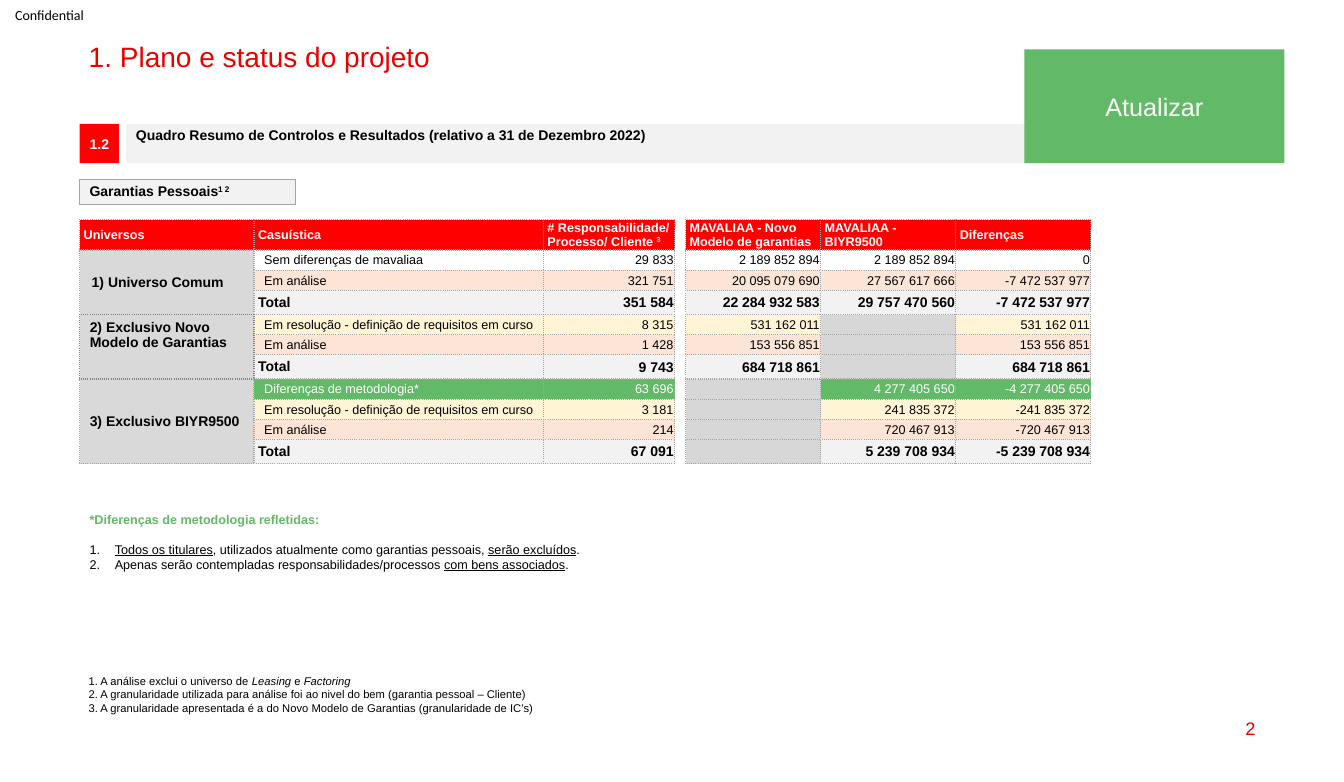
from lxml import etree
from pptx import Presentation
from pptx.dml.color import RGBColor
from pptx.enum import shapes as sh, text as tx
from pptx.oxml.ns import qn
from pptx.util import Inches, Pt

RED, GREEN, PALE, GREY = "FF0000", "62B967", "F2F2F2", "D9D9D9"
BLACK, WHITE, TITLE = "000000", "FFFFFF", "EB0000"
DOT, DARK, VOID = "A6A6A6", "808080", "D7D7D7"
LEFT, MID, RIGHT = tx.PP_ALIGN.LEFT, tx.PP_ALIGN.CENTER, tx.PP_ALIGN.RIGHT
TOP, HALF = tx.MSO_ANCHOR.TOP, tx.MSO_ANCHOR.MIDDLE
SUP, LINE, ITAL = {"sup": True}, {"under": True}, {"ital": True}

# Row kind: fill, font colour
KINDS = {"plain": (None, BLACK), "study": ("FCE4D6", BLACK), "fix": ("FFF5D6", BLACK),
         "method": (GREEN, WHITE), "total": (PALE, BLACK)}
COLS = [1.73, 2.87, 1.3, 0.11, 1.34, 1.34, 1.34]
GAP = 3
HEADS = [["Universos"], ["Casuística"],
         ["# Responsabilidade/", [("Processo/ Cliente ", {}), ("3", SUP)]], None,
         ["MAVALIAA - Novo Modelo de garantias"], ["MAVALIAA - BIYR9500"], ["Diferenças"]]
FIX = "Em resolução - definição de requisitos em curso"
# Universe: name, anchor, left margin, border colour, rows
GROUPS = [
    ("1) Universo Comum", HALF, 0.12, DOT, [
        ("plain", "Sem diferenças de mavaliaa", "29 833", "2 189 852 894", "2 189 852 894", "0"),
        ("study", "Em análise", "321 751", "20 095 079 690", "27 567 617 666", "-7 472 537 977"),
        ("total", "Total", "351 584", "22 284 932 583", "29 757 470 560", "-7 472 537 977")]),
    ("2) Exclusivo Novo Modelo de Garantias", TOP, 0.1, DARK, [
        ("fix", FIX, "8 315", "531 162 011", "", "531 162 011"),
        ("study", "Em análise", "1 428", "153 556 851", "", "153 556 851"),
        ("total", "Total", "9 743", "684 718 861", "", "684 718 861")]),
    ("3) Exclusivo BIYR9500", HALF, 0.1, DOT, [
        ("method", "Diferenças de metodologia*", "63 696", "", "4 277 405 650", "-4 277 405 650"),
        ("fix", FIX, "3 181", "", "241 835 372", "-241 835 372"),
        ("study", "Em análise", "214", "", "720 467 913", "-720 467 913"),
        ("total", "Total", "67 091", "", "5 239 708 934", "-5 239 708 934")]),
]


def rgb(code):
    return RGBColor.from_string(code)


def write(frame, paras, size, color=BLACK, bold=False, align=LEFT, face="Arial", space=1.0):
    """Each paragraph is a string or a list of (text, style) runs."""
    for i, runs in enumerate(paras):
        para = frame.paragraphs[0] if i == 0 else frame.add_paragraph()
        para.alignment, para.line_spacing = align, space
        for words, style in [(runs, {})] if isinstance(runs, str) else runs:
            run = para.add_run()
            run.text = words
            font = run.font
            font.name, font.size, font.bold = face, Pt(size), bold
            font.color.rgb = rgb(color)
            if "ital" in style:
                font.italic = True
            if "under" in style:
                font.underline = True
            if "sup" in style:
                run._r.get_or_add_rPr().set("baseline", "30000")


def setup(frame, anchor=TOP, left=0.1, top=0.05):
    frame.word_wrap, frame.vertical_anchor = True, anchor
    frame.margin_left, frame.margin_top = Inches(left), Inches(top)


def label(slide, box, paras, size, anchor=TOP, left=0.1, top=0.05, **kw):
    frame = slide.shapes.add_textbox(*map(Inches, box)).text_frame
    setup(frame, anchor, left, top)
    write(frame, paras, size, **kw)
    return frame


def block(slide, box, fill, paras, size, anchor=HALF, top=0.05, line=None, **kw):
    shape = slide.shapes.add_shape(sh.MSO_SHAPE.RECTANGLE, *map(Inches, box))
    shape.shadow.inherit = False
    shape.fill.solid()
    shape.fill.fore_color.rgb = rgb(fill)
    if line:
        shape.line.color.rgb, shape.line.width = rgb(line), Pt(0.75)
    else:
        shape.line.fill.background()
    setup(shape.text_frame, anchor, top=top)
    write(shape.text_frame, paras, size, **kw)


def edge(cell, colors):
    """Dotted borders; colors maps the sides L, R, T, B to a colour."""
    props = cell._tc.get_or_add_tcPr()
    for side in "LRTB":
        line = etree.SubElement(props, qn("a:ln" + side), w="12700")
        if side in colors:
            fill = etree.SubElement(line, qn("a:solidFill"))
            etree.SubElement(fill, qn("a:srgbClr"), val=colors[side])
            etree.SubElement(line, qn("a:prstDash"), val="sysDot")
        else:
            etree.SubElement(line, qn("a:noFill"))


def put(cell, paras, fill, borders, pad, anchor=HALF, size=9, **kw):
    edge(cell, borders)
    if fill:
        cell.fill.solid()
        cell.fill.fore_color.rgb = rgb(fill)
    else:
        cell.fill.background()
    cell.vertical_anchor = anchor
    cell.margin_left, cell.margin_top, cell.margin_right, cell.margin_bottom = map(Inches, pad)
    if paras:
        write(cell.text_frame, paras, size, **kw)
    else:
        etree.SubElement(cell.text_frame.paragraphs[0]._p, qn("a:endParaRPr"), sz="800")


def heading(slide, box):
    x, y, w, h = box
    title = slide.shapes.title
    title.left, title.top, title.width, title.height = map(Inches, (x, y, w, 0.34))
    setup(title.text_frame)
    write(title.text_frame, ["1. Plano e status do projeto"], 20, TITLE, space=0.9)
    # Section bar and subject tag
    bar = y + 0.85
    block(slide, (x + 0.01, bar, 0.39, 0.39), RED, ["1.2"], 10, color=WHITE, bold=True, align=MID)
    block(slide, (x + 0.47, bar, 10.41, 0.39), PALE,
          ["Quadro Resumo de Controlos e Resultados (relativo a 31 de Dezembro 2022)"],
          10, anchor=TOP, top=0.04, bold=True, space=0.9)
    block(slide, (x + 0.01, y + 1.4, 2.14, 0.25), PALE,
          [[("Garantias Pessoais", {}), ("1 2", SUP)]], 10, line=DOT, bold=True, space=0.9)
    # Status sticker
    block(slide, (x + 9.38, y + 0.11, 2.58, 1.13), GREEN, ["Atualizar"], 18, color=WHITE, align=MID)


def summary(slide, box):
    kinds = [row[0] for group in GROUPS for row in group[4]]
    frame = slide.shapes.add_table(len(kinds) + 1, len(COLS), *map(Inches, box))
    grid = frame.table
    grid.first_row = grid.horz_banding = False
    grid._tbl.tblPr.find(qn("a:tableStyleId")).text = "{2D5ABB26-0587-4C30-8999-92F81FD0307C}"
    for col, wide in zip(grid.columns, COLS):
        col.width = Inches(wide)
    for row, kind in zip(grid.rows, ["head"] + kinds):
        row.height = Inches({"head": 0.27, "total": 0.24}.get(kind, 0.2))
    full, tight, slim = dict.fromkeys("LRTB", DOT), (0.04, 0, 0.04, 0), (0.01, 0.01, 0.01, 0)
    # Header and gap column
    for c, head in enumerate(HEADS):
        if c != GAP:
            put(grid.cell(0, c), head, RED, full, tight, color=WHITE, bold=True)
    for r in range(len(kinds) + 1):
        put(grid.cell(r, GAP), None, None, {"L": DOT, "R": DOT}, (0, 0, 0, 0))
    # Universes
    r = 1
    for name, anchor, left, shade, rows in GROUPS:
        last = r + len(rows) - 1
        for i, (kind, case, *sums) in enumerate(rows, r):
            sides = dict.fromkeys("LRTB", shade)
            if i == last and last < len(kinds):
                sides["B"] = DARK
            if i == r and r > 3:
                sides["T"] = DARK
            put(grid.cell(i, 0), [name] if i == r else None, GREY, sides,
                (left, 0.05, 0.1, 0.05) if i == r else (0, 0, 0, 0), anchor, 10, bold=True)
            fill, color = KINDS[kind]
            total = kind == "total"
            look = dict(size=10 if total else 9, color=color, bold=total)
            put(grid.cell(i, 1), [case], fill, {**full, "L": shade},
                tight if total else (0.1, 0.01, 0.01, 0), **look)
            for c, num in zip((2, 4, 5, 6), sums):
                put(grid.cell(i, c), [num] if num else None, fill if num else VOID,
                    full, slim, align=RIGHT, **look)
        grid.cell(r, 0).merge(grid.cell(last, 0))
        r = last + 1


def method(slide, box):
    frame = label(slide, box, ["*Diferenças de metodologia refletidas:"], 9, color=GREEN, bold=True)
    points = [
        [("Todos os titulares", LINE), (", utilizados atualmente como garantias pessoais, ", {}),
         ("serão excluídos", LINE), (".", {})],
        [("Apenas serão contempladas responsabilidades/processos ", {}),
         ("com bens associados", LINE), (".", {})]]
    for i, point in enumerate(points):
        para = frame.add_paragraph()
        props = para._p.get_or_add_pPr()
        props.set("marL", str(Inches(0.25)))
        props.set("indent", str(-Inches(0.25)))
        etree.SubElement(props, qn("a:buFont"), typeface="+mj-lt")
        etree.SubElement(props, qn("a:buAutoNum"), type="arabicPeriod")
        para.space_before = Pt(0 if i else 10.4)
        for words, style in point:
            run = para.add_run()
            run.text = words
            run.font.name, run.font.size = "Arial", Pt(9)
            run.font.color.rgb = rgb(BLACK)
            run.font.underline = "under" in style


def footer(slide, box):
    x, y, w, h = box
    label(slide, (x, y, 4.75, 0.5), [
        [("1. A análise exclui o universo de ", {}), ("Leasing", ITAL), (" e ", {}),
         ("Factoring", ITAL)],
        "2. A granularidade utilizada para análise foi ao nivel do bem (garantia pessoal – Cliente)",
        "3. A granularidade apresentada é a do Novo Modelo de Garantias (granularidade de IC’s)"], 8)
    label(slide, (x + w - 3, y + 0.38, 3, 0.41), ["2"], 13, HALF, color=TITLE, align=RIGHT)


def main():
    deck = Presentation()
    deck.slide_width, deck.slide_height = Inches(13.33), Inches(7.76)
    slide = deck.slides.add_slide(deck.slide_layouts[5])
    label(slide, (0, 0, 0.99, 0.29), ["Confidential"], 10, HALF, left=0.15, face="Calibri")
    heading(slide, (0.78, 0.38, 11.77, 1.65))
    summary(slide, (0.79, 2.18, 10.03, 2.41))
    method(slide, (0.79, 5.03, 10.55, 1.5))
    footer(slide, (0.78, 6.64, 11.77, 0.79))
    deck.save("out.pptx")


if __name__ == "__main__":
    main()
